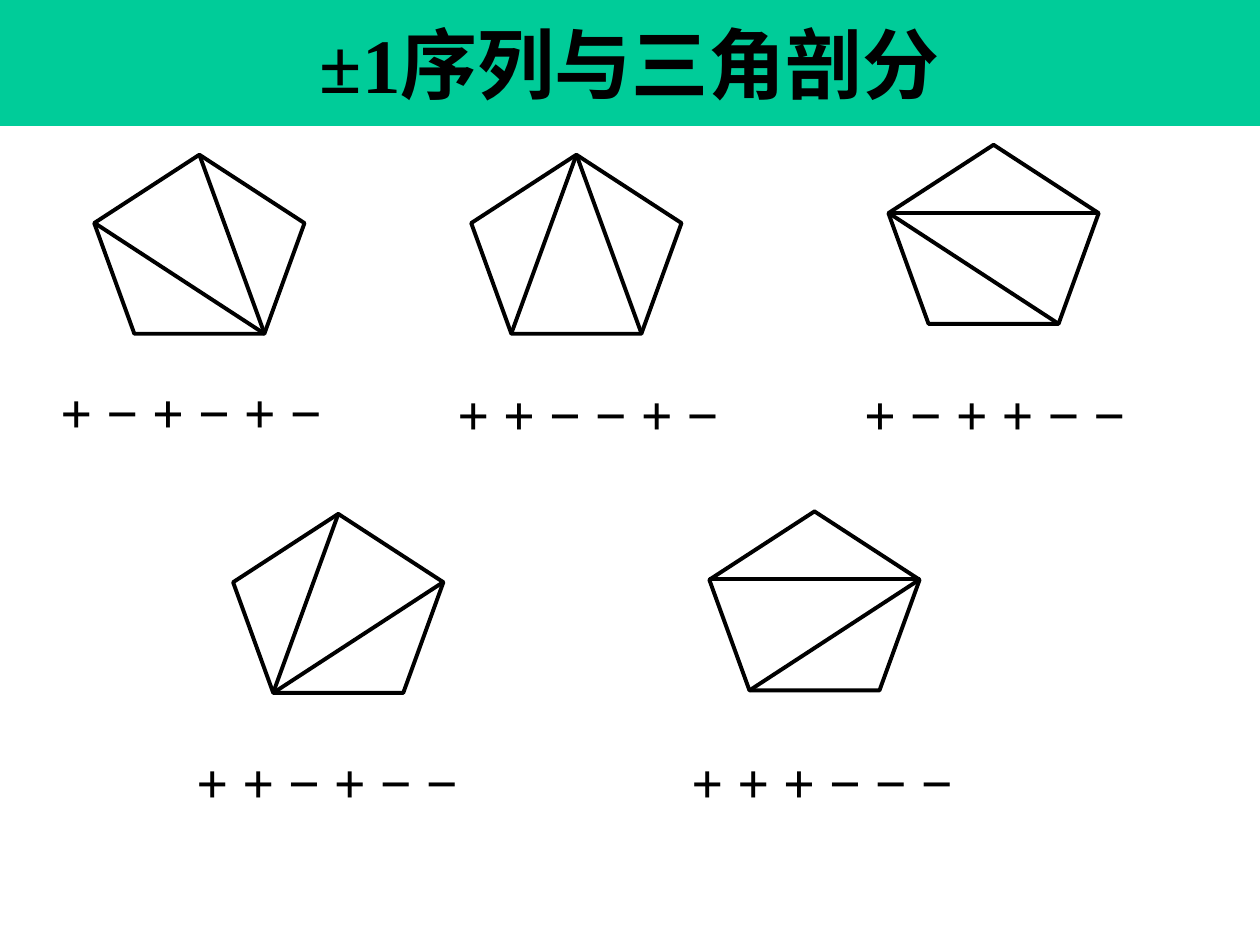
from lxml.etree import SubElement
from pptx import Presentation
from pptx.dml.color import RGBColor
from pptx.enum.shapes import MSO_CONNECTOR, MSO_SHAPE
from pptx.enum.text import MSO_ANCHOR, MSO_AUTO_SIZE, PP_ALIGN
from pptx.oxml.ns import qn
from pptx.util import Cm, Pt

COLORS = {"banner": "00CC99", "ink": "000000", "paper": "FFFFFF"}
FONT = "Times New Roman"
LINE_WIDTH = Pt(2.25)
PENTAGON_WIDTH, PENTAGON_HEIGHT = 4.24, 3.61
SEQUENCE_WIDTH, SEQUENCE_HEIGHT = 5.94, 1.6

# Pentagon corners as fractions of its width and height
CORNERS = {
    "top": (0.5, 0),
    "left": (0, 0.38),
    "right": (1, 0.38),
    "bottom left": (0.19, 1),
    "bottom right": (0.81, 1),
}

# Pentagon position, diagonals, sequence position, sequence (cm)
TRIANGULATIONS = [
    ((1.9, 3.12), [("top", "bottom right"), ("left", "bottom right")],
     (0.97, 7.49), "+ − + − + −"),
    ((9.5, 3.12), [("top", "bottom left"), ("top", "bottom right")],
     (8.97, 7.52), "+ + − − + −"),
    ((17.91, 2.92), [("left", "right"), ("left", "bottom right")],
     (17.17, 7.52), "+ − + + − −"),
    ((4.7, 10.36), [("bottom left", "top"), ("bottom left", "right")],
     (3.71, 14.94), "+ + − + − −"),
    ((14.3, 10.31), [("left", "right"), ("bottom left", "right")],
     (13.69, 14.94), "+ + + − − −"),
]


def color(name):
    return RGBColor.from_string(COLORS[name])


def format_text(paragraph, size):
    font = paragraph.font
    font.name = FONT
    font.size = Pt(size)
    font.bold = True
    font.color.rgb = color("ink")


def format_line(line):
    line.color.rgb = color("ink")
    line.width = LINE_WIDTH


def set_title(slide, text, width):
    title = slide.shapes.title
    title.left, title.top, title.width, title.height = 0, 0, width, Cm(2.54)
    title.fill.solid()
    title.fill.fore_color.rgb = color("banner")
    frame = title.text_frame
    frame.text = text
    frame.auto_size = MSO_AUTO_SIZE.NONE
    frame.vertical_anchor = MSO_ANCHOR.MIDDLE
    frame.paragraphs[0].alignment = PP_ALIGN.CENTER
    format_text(frame.paragraphs[0], 44)


def add_triangulation(slide, left, top, diagonals):
    group = slide.shapes.add_group_shape()
    pentagon = group.shapes.add_shape(
        MSO_SHAPE.REGULAR_PENTAGON, Cm(left), Cm(top),
        Cm(PENTAGON_WIDTH), Cm(PENTAGON_HEIGHT))
    pentagon.shadow.inherit = False
    pentagon.fill.solid()
    pentagon.fill.fore_color.rgb = color("paper")
    format_line(pentagon.line)

    def corner(name):
        x, y = CORNERS[name]
        return Cm(left + x * PENTAGON_WIDTH), Cm(top + y * PENTAGON_HEIGHT)

    for start, end in diagonals:
        diagonal = group.shapes.add_connector(
            MSO_CONNECTOR.STRAIGHT, *corner(start), *corner(end))
        format_line(diagonal.line)
        SubElement(diagonal._element.spPr, qn("a:effectLst"))


def add_sequence(slide, left, top, text):
    sequence = slide.shapes.add_textbox(
        Cm(left), Cm(top), Cm(SEQUENCE_WIDTH), Cm(SEQUENCE_HEIGHT))
    frame = sequence.text_frame
    frame.word_wrap = False
    frame.auto_size = MSO_AUTO_SIZE.SHAPE_TO_FIT_TEXT
    frame.text = text
    format_text(frame.paragraphs[0], 32)


def main():
    prs = Presentation()
    prs.slide_width, prs.slide_height = Cm(25.4), Cm(19.05)
    slide = prs.slides.add_slide(prs.slide_layouts[5])

    # Banner title
    set_title(slide, "±1序列与三角剖分", prs.slide_width)

    # Triangulated pentagons, each with its sequence below
    for pentagon_at, diagonals, sequence_at, sequence in TRIANGULATIONS:
        add_triangulation(slide, *pentagon_at, diagonals)
        add_sequence(slide, *sequence_at, sequence)

    prs.save("out.pptx")


if __name__ == "__main__":
    main()
